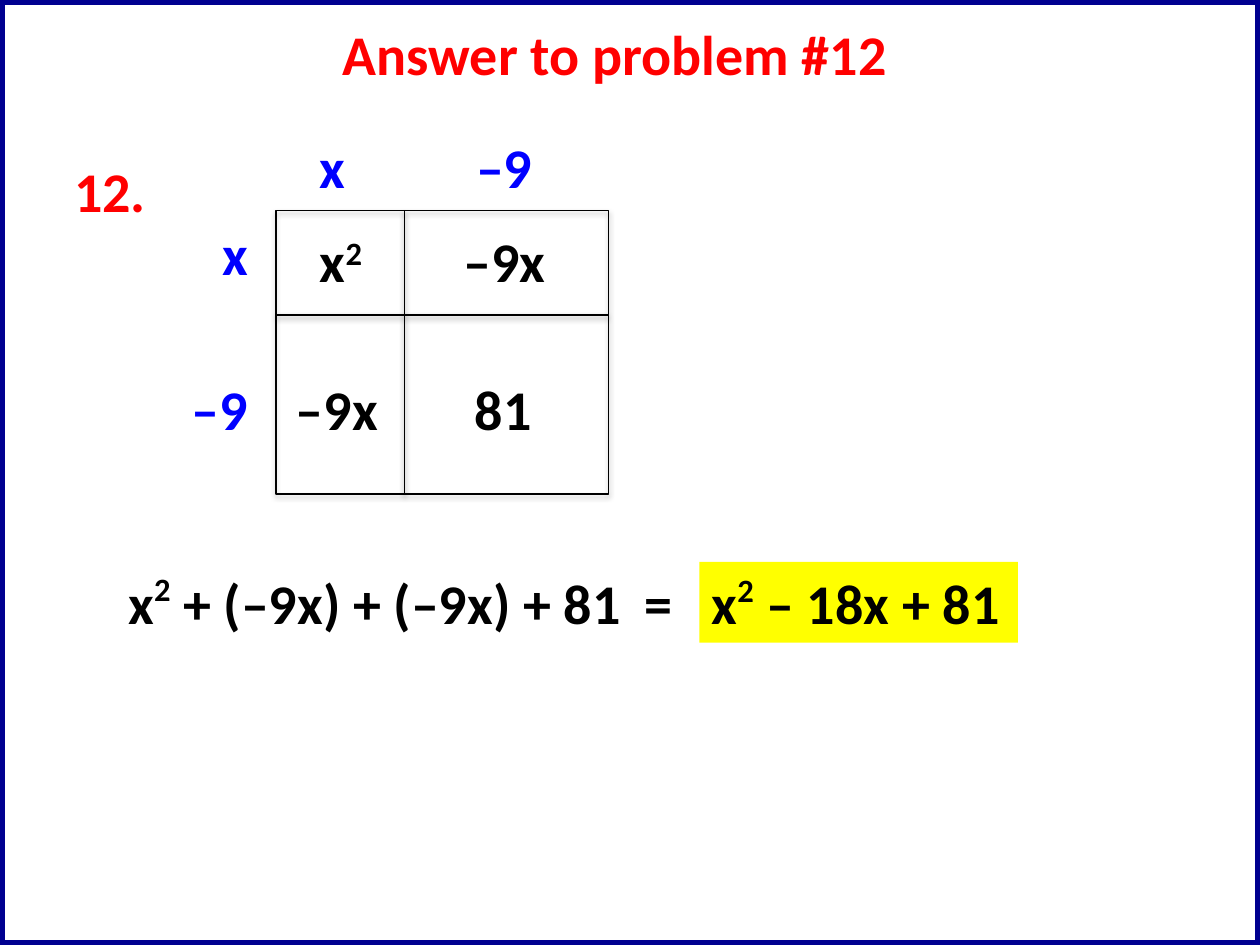
from dataclasses import dataclass

from lxml import etree
from pptx import Presentation
from pptx.dml.color import RGBColor
from pptx.enum.shapes import MSO_CONNECTOR, MSO_SHAPE
from pptx.enum.text import MSO_AUTO_SIZE, PP_ALIGN
from pptx.oxml.ns import qn
from pptx.util import Inches, Pt


@dataclass(frozen=True)
class Theme:
    font: str = "Calibri"
    size: int = 32
    white: RGBColor = RGBColor(255, 255, 255)
    black: RGBColor = RGBColor(0, 0, 0)
    red: RGBColor = RGBColor(255, 0, 0)
    blue: RGBColor = RGBColor(0, 0, 255)
    navy: RGBColor = RGBColor(0, 0, 0x90)
    highlight: RGBColor = RGBColor(255, 255, 0)


THEME = Theme()
LINE_HEIGHT = 0.64


def add_shadow(shape, opacity):
    """Give the shape a soft shadow that falls straight down."""
    effects = etree.SubElement(shape._element.spPr, qn("a:effectLst"))
    shadow = etree.SubElement(
        effects, qn("a:outerShdw"), blurRad=str(Pt(3.1)), dist=str(Pt(1.7)),
        dir="5400000", rotWithShape="0")
    color = etree.SubElement(shadow, qn("a:srgbClr"), val="000000")
    etree.SubElement(color, qn("a:alpha"), val=str(opacity * 1000))


def write_math(shape, parts, color):
    """Write (text, superscript percent) parts as one bold line."""
    frame = shape.text_frame
    frame.word_wrap = False
    frame.auto_size = MSO_AUTO_SIZE.SHAPE_TO_FIT_TEXT
    paragraph = frame.paragraphs[0]
    paragraph.alignment = PP_ALIGN.LEFT
    for text, raised in parts:
        run = paragraph.add_run()
        run.text = text
        font = run.font
        font.name, font.size, font.bold = THEME.font, Pt(THEME.size), True
        font.color.rgb = color
        if raised:
            font._element.set("baseline", str(raised * 1000))
    return paragraph


def add_label(slide, left, top, width, parts, color):
    if isinstance(parts, str):
        parts = [(parts, 0)]
    label = slide.shapes.add_textbox(
        Inches(left), Inches(top), Inches(width), Inches(LINE_HEIGHT))
    return write_math(label, parts, color)


def add_frame(slide, left, top, width, height):
    frame = slide.shapes.add_shape(
        MSO_SHAPE.RECTANGLE, Inches(left), Inches(top), Inches(width), Inches(height))
    frame.fill.solid()
    frame.fill.fore_color.rgb = THEME.white
    frame.line.color.rgb = THEME.navy
    frame.line.width = Pt(6)
    add_shadow(frame, 38)


def add_area_model(slide, left, top, width, height):
    """Draw the multiplication box with its factors and partial products."""
    column, row = left + 1.02, top + 0.83
    outline = slide.shapes.add_shape(
        MSO_SHAPE.RECTANGLE, Inches(left), Inches(top), Inches(width), Inches(height))
    outline.fill.background()
    outline.line.color.rgb = THEME.black
    outline.line.width = Pt(0.75)
    add_shadow(outline, 35)

    dividers = [(column, top, column, top + height), (left + width, row, left, row)]
    for ends in dividers:
        divider = slide.shapes.add_connector(
            MSO_CONNECTOR.STRAIGHT, *[Inches(value) for value in ends])
        divider.line.color.rgb = THEME.black
        divider.line.width = Pt(1)
        add_shadow(divider, 38)

    above, first_row, second_row = top - 0.67, top + 0.08, top + 1.25
    factors = [
        ("x", left + 0.25, above, 0.41), ("–9", left + 1.49, above, 0.65),
        ("x", left - 0.52, top + 0.02, 0.41), ("–9", left - 0.77, second_row, 0.65),
    ]
    products = [
        ([("x", 0), ("2", 30)], left + 0.25, first_row, 0.62),
        ("–9x", left + 1.39, first_row, 0.88),
        ("–9x", left + 0.06, second_row, 0.88),
        ("81", left + 1.48, second_row, 0.66),
    ]
    for entries, color in ((factors, THEME.blue), (products, THEME.black)):
        for parts, x, y, label_width in entries:
            add_label(slide, x, y, label_width, parts, color)


def add_result(slide, left, top, width, height):
    """Write the sum of the products and the highlighted answer."""
    answer_width = 2.53
    square = [("x", 0), ("2", 40)]
    total = add_label(slide, left, top, 4.71,
                      square + [(" + (–9x) + (–9x) + 81\t=", 0)], THEME.black)
    tabs = etree.SubElement(total._p.get_or_add_pPr(), qn("a:tabLst"))
    etree.SubElement(tabs, qn("a:tab"), pos=str(Inches(4.1)), algn="l")

    answer = slide.shapes.add_shape(
        MSO_SHAPE.RECTANGLE, Inches(left + width - answer_width), Inches(top),
        Inches(answer_width), Inches(height))
    answer.shadow.inherit = False
    answer.fill.solid()
    answer.fill.fore_color.rgb = THEME.highlight
    answer.line.fill.background()
    write_math(answer, square + [(" – 18x + 81", 0)], THEME.black)


def main():
    presentation = Presentation()
    presentation.slide_width, presentation.slide_height = Inches(10), Inches(7.5)
    slide = presentation.slides.add_slide(presentation.slide_layouts[6])
    add_frame(slide, 0, 0, 10, 7.5)
    add_label(slide, 2.62, 0.11, 4.76, "Answer to problem #12", THEME.red)
    add_label(slide, 0.49, 1.19, 0.78, "12.", THEME.red)
    add_area_model(slide, 2.19, 1.67, 2.64, 2.25)
    add_result(slide, 0.92, 4.46, 7.16, LINE_HEIGHT)
    presentation.save("out.pptx")


if __name__ == "__main__":
    main()
